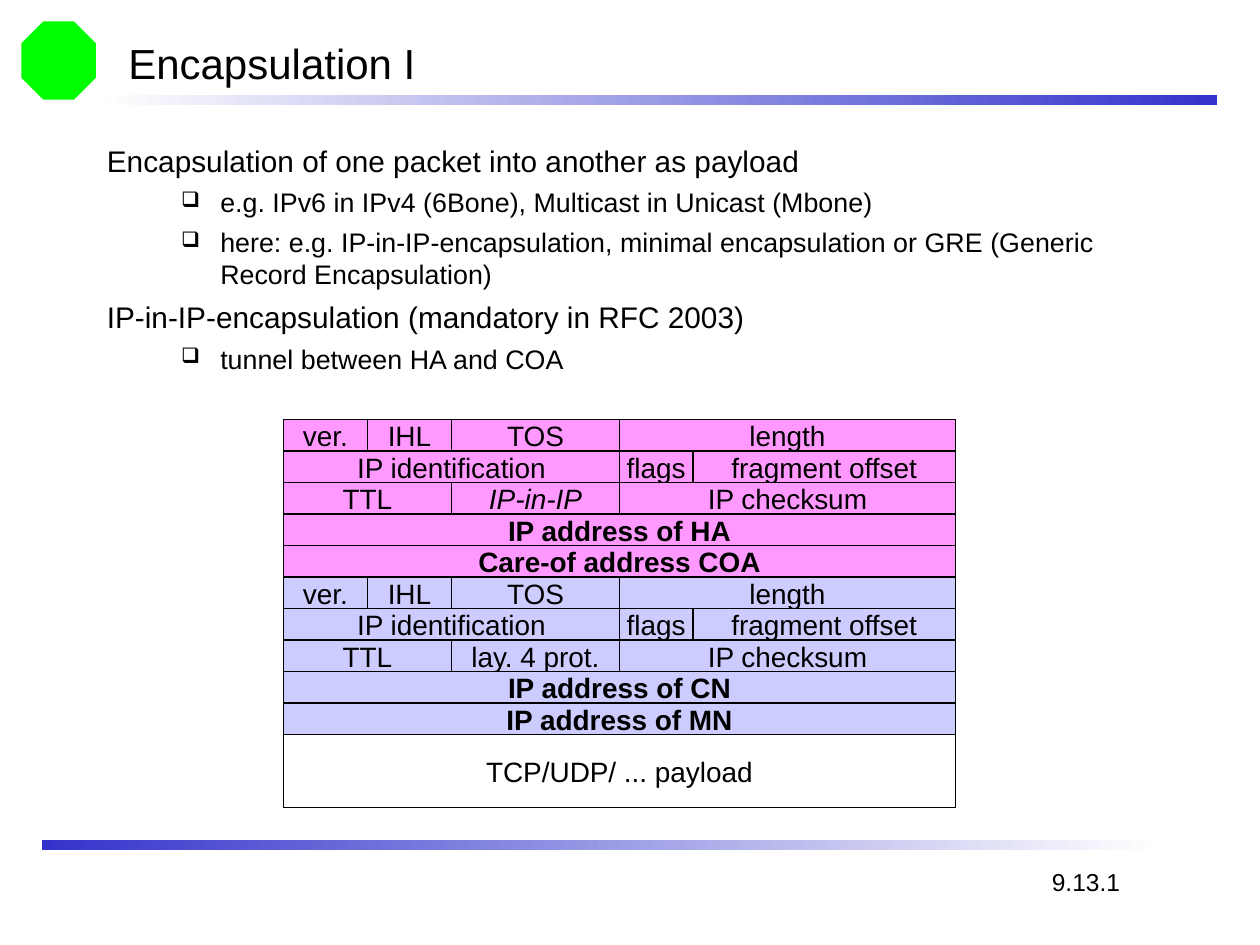
from lxml.etree import SubElement
from pptx import Presentation
from pptx.dml.color import RGBColor
from pptx.enum.shapes import MSO_SHAPE
from pptx.enum.text import MSO_ANCHOR, PP_ALIGN
from pptx.oxml.ns import qn
from pptx.util import Inches, Pt

BLACK = RGBColor(0x00, 0x00, 0x00)
GREEN = RGBColor(0x00, 0xFF, 0x00)
BLUE = RGBColor(0x33, 0x33, 0xCC)
WHITE = RGBColor(0xFE, 0xFE, 0xFE)
PINK = RGBColor(0xFF, 0x99, 0xFF)
LAVENDER = RGBColor(0xCC, 0xCC, 0xFF)


def add_text(left, top, width, height, lines, size, wrap=True):
    text_box = slide.shapes.add_textbox(
        Inches(left), Inches(top), Inches(width), Inches(height))
    text_frame = text_box.text_frame
    text_frame.word_wrap = wrap
    text_frame.text = "\n".join(lines)
    for paragraph in text_frame.paragraphs:
        style_runs(paragraph, size)
    return text_frame


def style_runs(paragraph, size, bold=False, italic=False):
    for run in paragraph.runs:
        run.font.name = "Arial"
        run.font.size = Pt(size)
        run.font.bold = bold
        run.font.italic = italic
        run.font.color.rgb = BLACK


presentation = Presentation()
presentation.slide_width = Inches(10)
presentation.slide_height = Inches(7.5)
slide = presentation.slides.add_slide(presentation.slide_layouts[6])

# Emblem and the two fading rules
emblem = slide.shapes.add_shape(
    MSO_SHAPE.OCTAGON, Inches(0.17), Inches(0.17), Inches(0.59), Inches(0.62))
emblem.shadow.inherit = False
emblem.fill.solid()
emblem.fill.fore_color.rgb = GREEN
emblem.line.fill.background()

for left, top, colors in [(0.83, 0.75, (WHITE, BLUE)), (0.33, 6.67, (BLUE, WHITE))]:
    rule = slide.shapes.add_shape(
        MSO_SHAPE.RECTANGLE, Inches(left), Inches(top), Inches(8.83), Inches(0.08))
    rule.shadow.inherit = False
    rule.line.fill.background()
    rule.fill.gradient()
    rule.fill.gradient_angle = 0
    for stop, color in zip(rule.fill.gradient_stops, colors):
        stop.color.rgb = color

# Title, body and page number
title = add_text(0.92, 0.25, 8.5, 0.5, ["Encapsulation I"], 24)
title.vertical_anchor = MSO_ANCHOR.MIDDLE
add_text(8.25, 6.83, 0.74, 0.34, ["9.13.1"], 14, wrap=False)

body_lines = [
    (0, "Encapsulation of one packet into another as payload"),
    (1, "e.g. IPv6 in IPv4 (6Bone), Multicast in Unicast (Mbone)"),
    (1, "here: e.g. IP-in-IP-encapsulation, minimal encapsulation or GRE "
        "(Generic Record Encapsulation)"),
    (0, "IP-in-IP-encapsulation (mandatory in RFC 2003)"),
    (1, "tunnel between HA and COA"),
]
body = add_text(0.75, 1.08, 8.5, 1.92, [text for _, text in body_lines], 17)
for index, (paragraph, (level, _)) in enumerate(zip(body.paragraphs, body_lines)):
    properties = paragraph._p.get_or_add_pPr()
    margin, indent = (0.9, -0.31) if level else (0.38, -0.38)
    properties.set("marL", str(Inches(margin)))
    properties.set("indent", str(Inches(indent)))
    if level:
        SubElement(properties, qn("a:buSzPct"), val="80000")
        SubElement(properties, qn("a:buChar"), char="❑")
        paragraph.level = level
        style_runs(paragraph, 15.3)
    if index:
        paragraph.space_before = Pt(4.5 if level else 5)

# Packet diagram: each row spans 32 bits, each field is (text, bits, style)
TABLE_LEFT, TABLE_TOP = 2.25, 3.33
ROW_HEIGHT, PAYLOAD_HEIGHT = 0.25, 0.58
BIT_WIDTH = 1 / 6

packet_rows = []
for color, protocol, protocol_style, addresses in [
    (PINK, "IP-in-IP", "italic", ("IP address of HA", "Care-of address COA")),
    (LAVENDER, "lay. 4 prot.", "", ("IP address of CN", "IP address of MN")),
]:
    header_rows = [
        [("ver.", 4, ""), ("IHL", 4, ""), ("TOS", 8, ""), ("length", 16, "")],
        [("IP identification", 16, ""), ("flags", 3.5, ""),
         ("fragment offset", 12.5, "")],
        [("TTL", 8, ""), (protocol, 8, protocol_style), ("IP checksum", 16, "")],
    ]
    header_rows += [[(address, 32, "bold")] for address in addresses]
    packet_rows += [(color, ROW_HEIGHT, fields) for fields in header_rows]
packet_rows.append((None, PAYLOAD_HEIGHT, [("TCP/UDP/ ... payload", 32, "")]))

top = TABLE_TOP
for color, height, fields in packet_rows:
    left = TABLE_LEFT
    for text, bits, style in fields:
        width = bits * BIT_WIDTH
        field = slide.shapes.add_shape(
            MSO_SHAPE.RECTANGLE, Inches(left), Inches(top), Inches(width), Inches(height))
        field.shadow.inherit = False
        if color is None:
            field.fill.background()
        else:
            field.fill.solid()
            field.fill.fore_color.rgb = color
        field.line.color.rgb = BLACK
        field.line.width = Pt(0.75)
        text_frame = field.text_frame
        text_frame.word_wrap = False
        text_frame.vertical_anchor = MSO_ANCHOR.MIDDLE
        text_frame.text = text
        paragraph = text_frame.paragraphs[0]
        paragraph.alignment = PP_ALIGN.CENTER
        style_runs(paragraph, 16, bold=style == "bold", italic=style == "italic")
        left += width
    top += height

presentation.save("out.pptx")
